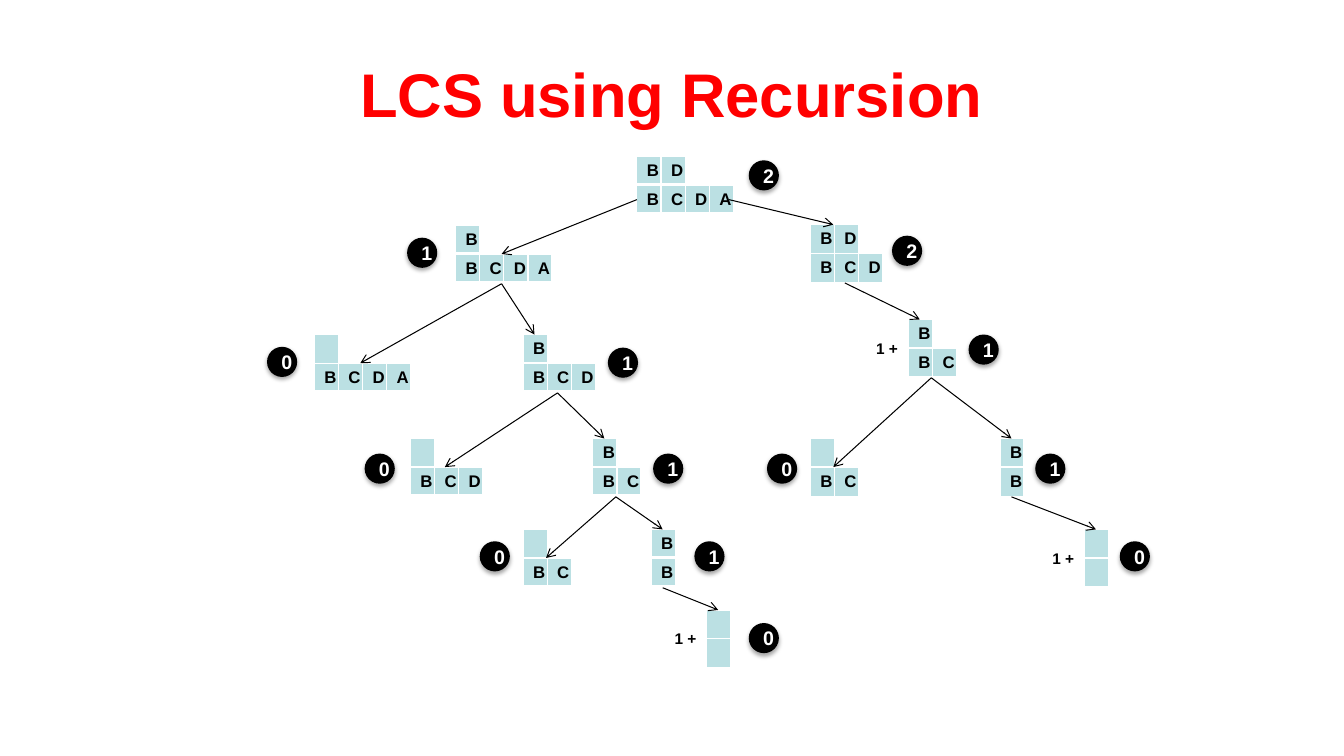
from lxml.etree import SubElement
from pptx import Presentation
from pptx.dml.color import RGBColor
from pptx.enum.shapes import MSO_CONNECTOR as Line, MSO_SHAPE as Shape
from pptx.enum.text import MSO_ANCHOR as Anchor, MSO_AUTO_SIZE as AutoSize, PP_ALIGN as Align
from pptx.oxml import parse_xml
from pptx.oxml.ns import nsdecls, qn
from pptx.util import Cm, Pt

CELL_WIDTH, ROW_HEIGHT, ROW_PITCH = 0.58, 0.64, 0.72
NODE_HEIGHT = 1.47
BADGE_SIZE = 0.76


def color(hex_text):
    return RGBColor.from_string(hex_text)


def write(frame, text, size=12, ink="000000", align=Align.CENTER):
    para = frame.paragraphs[0]
    para.alignment = align
    if not text:
        # Keep an empty cell as low as a filled one
        SubElement(para._p, qn("a:endParaRPr"), sz=str(size * 100))
        return
    span = para.add_run()
    span.text = text
    span.font.name = "Arial"
    span.font.size = Pt(size)
    span.font.bold = True
    span.font.color.rgb = color(ink)


deck = Presentation()
deck.slide_width, deck.slide_height = Cm(33.87), Cm(19.05)
page = deck.slides.add_slide(deck.slide_layouts[5])
shapes = page.shapes

# Title
title = shapes.title
title.left, title.top, title.width, title.height = Cm(1.69), Cm(0.76), Cm(30.48), Cm(3.18)
title.text_frame.vertical_anchor = Anchor.MIDDLE
write(title.text_frame, "LCS using Recursion", size=44, ink="FF0000")

# Recursion tree: name, parent, side, x, y, first string, second string,
# result, badge x, badge y, whether "1 +" is shown
nodes = [
    ("root", None, None, 16.05, 3.94, "BD", "BCDA", 2, 18.87, 4.04, False),
    ("L", "root", "left", 11.48, 5.68, "B", "BCDA", 1, 10.26, 5.99, False),
    ("LL", "L", "left", 7.92, 8.43, " ", "BCDA", 0, 6.73, 8.74, False),
    ("LR", "L", "right", 13.18, 8.43, "B", "BCD", 1, 15.32, 8.76, False),
    ("LRL", "LR", "left", 10.34, 11.05, " ", "BCD", 0, 9.19, 11.43, False),
    ("LRR", "LR", "right", 14.94, 11.05, "B", "BC", 1, 16.46, 11.43, False),
    ("LRRL", "LRR", "left", 13.18, 13.34, " ", "BC", 0, 12.09, 13.64, False),
    ("LRRR", "LRR", "right", 16.41, 13.34, "B", "B", 1, 17.5, 13.64, False),
    ("LRRRR", "LRRR", "right", 17.81, 15.37, " ", " ", 0, 18.87, 15.7, True),
    ("R", "root", "right", 20.42, 5.66, "BD", "BCD", 2, 22.48, 5.94, False),
    ("RR", "R", "right", 22.89, 8.05, "B", "BC", 1, 24.41, 8.43, True),
    ("RRL", "RR", "left", 20.42, 11.05, " ", "BC", 0, 19.33, 11.43, False),
    ("RRR", "RR", "right", 25.2, 11.05, "B", "B", 1, 26.09, 11.43, False),
    ("RRRR", "RRR", "right", 27.33, 13.34, " ", " ", 0, 28.22, 13.64, True),
]

# Letter tables and "1 +" labels
for name, parent, side, x, y, first, second, result, badge_x, badge_y, plus in nodes:
    for row, letters in enumerate((first, second)):
        table = shapes.add_table(1, len(letters), Cm(x), Cm(y + row * ROW_PITCH),
                                 Cm(CELL_WIDTH * len(letters)), Cm(ROW_HEIGHT)).table
        table.horz_banding = False
        for column, letter in enumerate(letters):
            table.columns[column].width = Cm(CELL_WIDTH)
            cell = table.cell(0, column)
            write(cell.text_frame, letter.strip())
            for edge, points in (("L", 1), ("R", 1), ("T", 1), ("B", 3)):
                border = SubElement(cell._tc.get_or_add_tcPr(), qn("a:ln" + edge), w=str(Pt(points)))
                SubElement(SubElement(border, qn("a:solidFill")), qn("a:srgbClr"), val="FFFFFF")
            cell.fill.solid()
            cell.fill.fore_color.rgb = color("BBE0E3")
    if plus:
        label = shapes.add_textbox(Cm(x - 1.06), Cm(y + 0.36), Cm(1.07), Cm(0.74))
        label.text_frame.word_wrap = False
        label.text_frame.auto_size = AutoSize.SHAPE_TO_FIT_TEXT
        write(label.text_frame, "1 +", size=11, align=Align.LEFT)

# Arrows: a left call points at the second string, a right call at the first
places = {node[0]: node for node in nodes}
for name, parent, side, x, y, first, second, *rest in nodes[1:]:
    parent_x, parent_y = places[parent][3:5]
    parent_width = CELL_WIDTH * len(places[parent][6])
    if parent == "root":
        start_x = parent_x + (parent_width if side == "right" else 0)
        start_y = parent_y + 1.09
    else:
        start_x = parent_x + parent_width / 2
        start_y = parent_y + NODE_HEIGHT
    target, drop = (second, ROW_PITCH) if side == "left" else (first, 0)
    arrow = shapes.add_connector(Line.STRAIGHT, Cm(start_x), Cm(start_y),
                                 Cm(x + CELL_WIDTH * len(target) / 2), Cm(y + drop))
    arrow.line.color.rgb = color("000000")
    arrow.line.width = Pt(0.75)
    SubElement(arrow.line._get_or_add_ln(), qn("a:tailEnd"), type="arrow")
    SubElement(arrow._element.spPr, qn("a:effectLst"))

# Result badges
for *call, result, badge_x, badge_y, plus in nodes:
    badge = shapes.add_shape(Shape.FLOWCHART_CONNECTOR, Cm(badge_x), Cm(badge_y),
                             Cm(BADGE_SIZE), Cm(BADGE_SIZE))
    badge.fill.solid()
    badge.fill.fore_color.rgb = color("000000")
    badge.line.fill.background()
    badge._element.spPr.append(parse_xml(
        f'<a:effectLst {nsdecls("a")}><a:outerShdw blurRad="{Pt(3.1)}" dist="{Pt(1.8)}" '
        'dir="5400000" rotWithShape="0"><a:srgbClr val="000000"><a:alpha val="35000"/>'
        '</a:srgbClr></a:outerShdw></a:effectLst>'))
    badge.text_frame.vertical_anchor = Anchor.MIDDLE
    badge.text_frame.word_wrap = True
    write(badge.text_frame, str(result), size=14, ink="FFFFFF")

deck.save("out.pptx")
